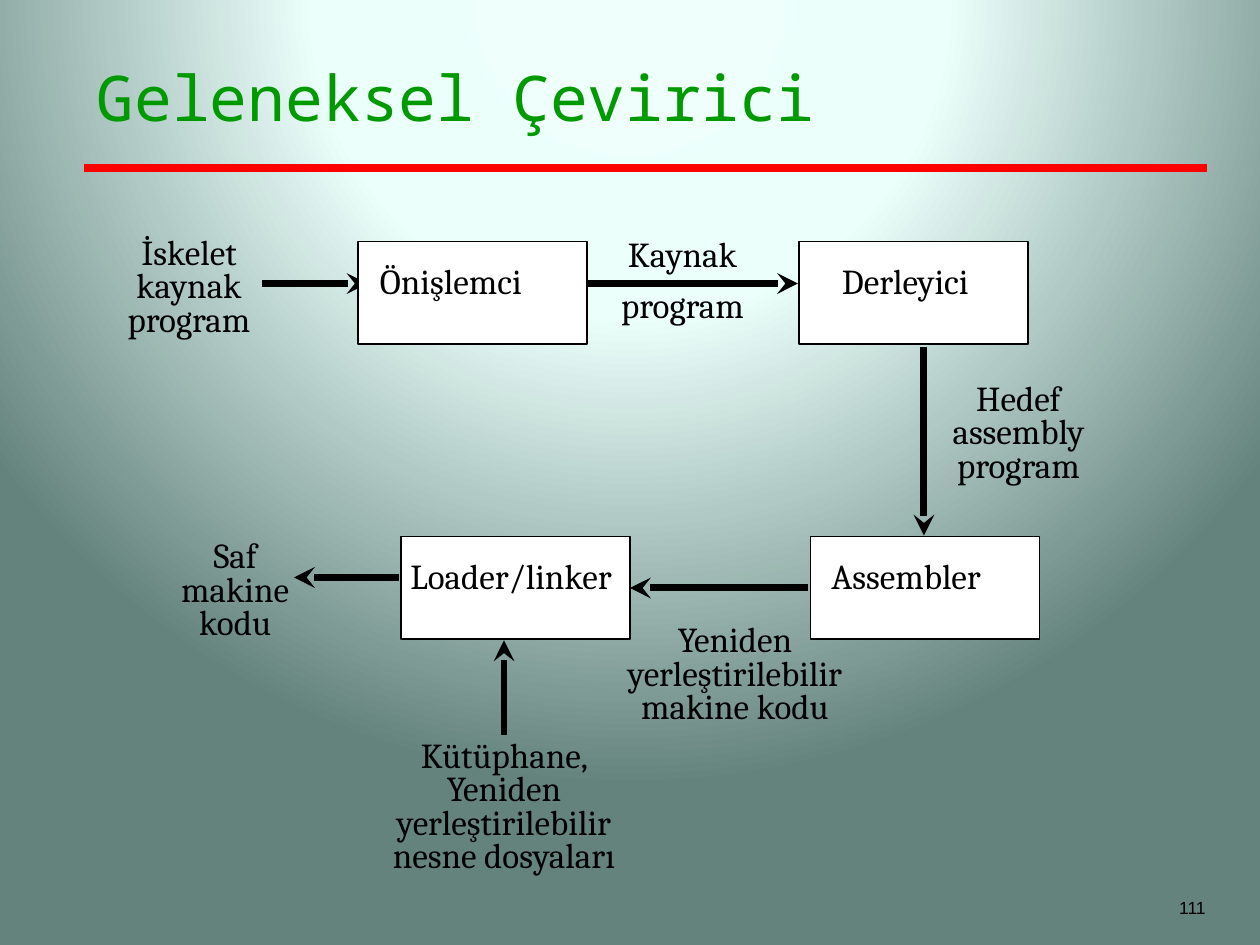
from typing import NamedTuple

from pptx import Presentation
from pptx.dml.color import RGBColor
from pptx.enum.shapes import MSO_CONNECTOR, MSO_SHAPE
from pptx.enum.text import MSO_ANCHOR, PP_ALIGN
from pptx.oxml import parse_xml
from pptx.oxml.ns import nsdecls, qn
from pptx.oxml.xmlchemy import OxmlElement
from pptx.util import Inches, Pt

COLORS = {
    "text": "000000",
    "title": "009900",
    "rule": "FF0000",
    "box": "FFFFFF",
}
BACKGROUND_STOPS = [(0, "EFFFFC"), (40, "EBFFFB"), (100, "65837D")]
CELL = Inches(1) / 12  # the slide is 120 columns by 90 rows
BOX_WIDTH, BOX_HEIGHT = 21.8, 9.8
CAPTION_DROP = 1.9


class Stage(NamedTuple):
    name: str
    column: float
    row: float
    caption_column: float
    caption_width: float = 21


class Label(NamedTuple):
    text: str
    column: float
    row: float
    width: float
    height: float = 10.9


class Flow(NamedTuple):
    start: tuple[float, float]
    end: tuple[float, float]


STAGES = [
    Stage("Önişlemci", 34.1, 23, 35),
    Stage("Derleyici", 76.1, 23, 79),
    Stage("Assembler", 77.2, 51.1, 78),
    Stage("Loader/linker", 38.2, 51.1, 37.9, 25),
]
LABELS = [
    Label("İskelet kaynak program", 10, 22.1, 16),
    Label("Kaynak\nprogram", 57, 22.3, 16, 9.7),
    Label("Hedef assembly program", 88, 36, 18),
    Label("Yeniden yerleştirilebilir makine kodu", 57, 59, 26),
    Label("Kütüphane, Yeniden yerleştirilebilir nesne dosyaları", 35, 70, 26, 14.2),
    Label("Saf makine kodu", 13.9, 51, 17),
]
FLOWS = [
    Flow((25, 27), (35, 27)),
    Flow((56, 27), (76, 27)),
    Flow((88, 33), (88, 51)),
    Flow((77, 56), (60, 56)),
    Flow((48, 70), (48, 61)),
    Flow((38, 55), (28, 55)),
]


def cells(*counts: float) -> list[int]:
    return [round(count * CELL) for count in counts]


def color(name: str) -> RGBColor:
    return RGBColor.from_string(COLORS[name])


def format_text(frame, font: str, size: float, color_name: str, align) -> None:
    for paragraph in frame.paragraphs:
        paragraph.alignment = align
        for run in paragraph.runs:
            run.font.name = font
            run.font.size = Pt(size)
            run.font.color.rgb = color(color_name)


def set_background(slide) -> None:
    """Fill the slide with a radial gradient centred above its top edge."""
    stops = "".join(
        f'<a:gs pos="{share * 1000}"><a:srgbClr val="{value}"/></a:gs>'
        for share, value in BACKGROUND_STOPS
    )
    gradient = parse_xml(
        f'<a:gradFill {nsdecls("a")} rotWithShape="1"><a:gsLst>{stops}</a:gsLst>'
        '<a:path path="circle">'
        '<a:fillToRect l="50000" t="-80000" r="50000" b="180000"/>'
        "</a:path></a:gradFill>"
    )
    slide.background.fill.solid()
    properties = slide.element.xpath("p:cSld/p:bg/p:bgPr")[0]
    properties.replace(properties[0], gradient)


def add_line(slide, flow: Flow, color_name: str, width: float):
    line = slide.shapes.add_connector(
        MSO_CONNECTOR.STRAIGHT, *cells(*flow.start, *flow.end)
    )
    line.line.color.rgb = color(color_name)
    line.line.width = Pt(width)
    line.element.spPr.append(OxmlElement("a:effectLst"))
    return line


def add_arrow(slide, flow: Flow) -> None:
    arrow = add_line(slide, flow, "text", 4)
    head = OxmlElement("a:tailEnd")
    head.set("type", "stealth")
    arrow.element.spPr.find(qn("a:ln")).append(head)


def add_label(slide, label: Label, align=PP_ALIGN.CENTER) -> None:
    box = slide.shapes.add_textbox(
        *cells(label.column, label.row, label.width, label.height)
    )
    frame = box.text_frame
    frame.word_wrap = True
    frame.text = label.text
    format_text(frame, "Cambria", 20, "text", align)
    for paragraph in frame.paragraphs:
        paragraph.line_spacing = 0.8
    for paragraph in frame.paragraphs[1:]:
        paragraph.space_before = Pt(10)


def add_stage(slide, stage: Stage) -> None:
    box = slide.shapes.add_shape(
        MSO_SHAPE.RECTANGLE, *cells(stage.column, stage.row, BOX_WIDTH, BOX_HEIGHT)
    )
    box.shadow.inherit = False
    box.fill.solid()
    box.fill.fore_color.rgb = color("box")
    box.line.color.rgb = color("text")
    box.line.width = Pt(1)
    caption = Label(
        stage.name,
        stage.caption_column,
        stage.row + CAPTION_DROP,
        stage.caption_width,
        4.4,
    )
    add_label(slide, caption, PP_ALIGN.LEFT)


def add_title(slide, text: str) -> None:
    title = slide.shapes.title
    title.left, title.top, title.width, title.height = cells(8, 5, 107, 15)
    title.text_frame.text = text
    title.text_frame.vertical_anchor = MSO_ANCHOR.TOP
    format_text(title.text_frame, "Noto Sans Mono", 36, "title", PP_ALIGN.LEFT)


def add_page_number(slide, number: int) -> None:
    frame = slide.shapes.add_textbox(*cells(91, 82, 25, 6)).text_frame
    frame.word_wrap = True
    frame.text = str(number)
    frame.vertical_anchor = MSO_ANCHOR.BOTTOM
    format_text(frame, "Arial", 10, "text", PP_ALIGN.RIGHT)


def main() -> None:
    presentation = Presentation()
    presentation.slide_width, presentation.slide_height = cells(120, 90)
    slide = presentation.slides.add_slide(presentation.slide_layouts[5])
    set_background(slide)
    add_title(slide, "Geleneksel Çevirici")
    add_line(slide, Flow((8, 16), (115, 16)), "rule", 4.5)
    for flow in FLOWS:
        add_arrow(slide, flow)
    for stage in STAGES:
        add_stage(slide, stage)
    for label in LABELS:
        add_label(slide, label)
    add_page_number(slide, 111)
    presentation.save("out.pptx")


if __name__ == "__main__":
    main()
